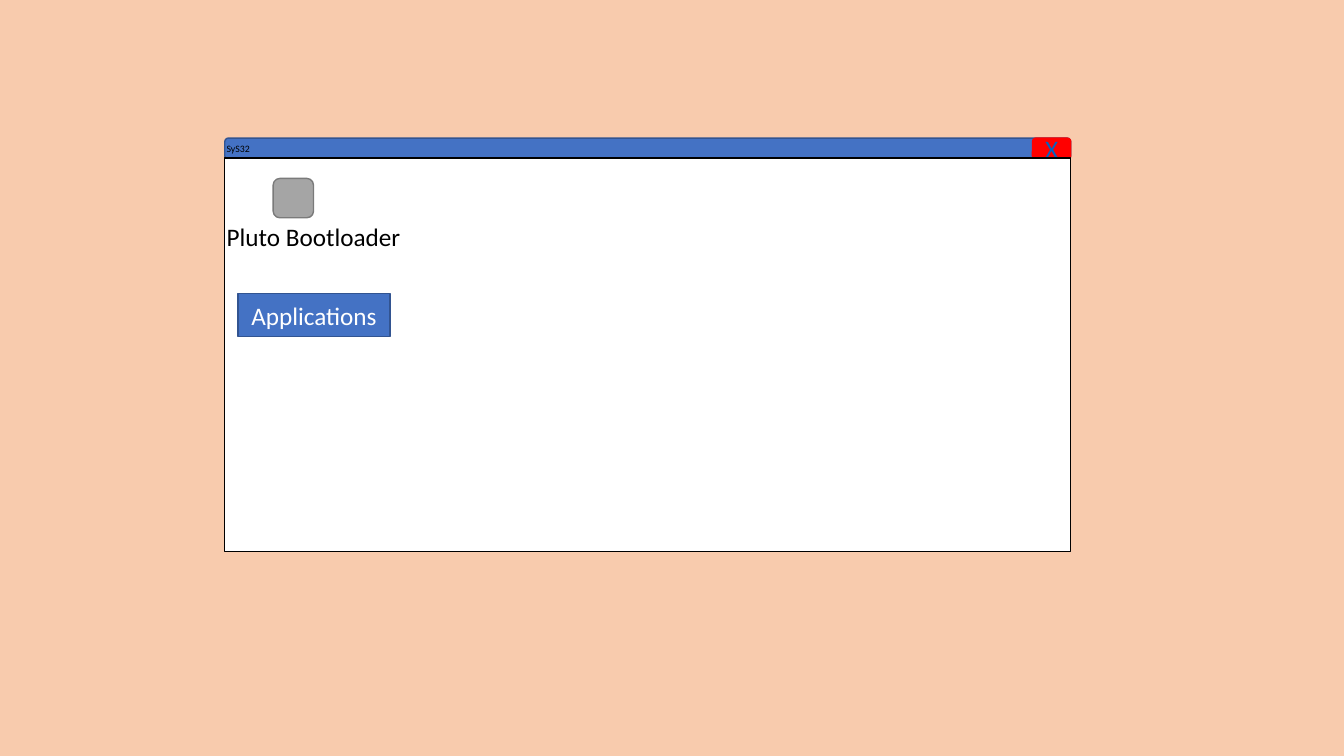
from pptx import Presentation
from pptx import util as u
from pptx.dml.color import RGBColor
from pptx.enum import shapes, text

SLIDE_WIDTH, SLIDE_HEIGHT = u.Inches(13.33), u.Inches(7.5)
PEACH = RGBColor(0xF8, 0xCB, 0xAD)
BLUE = RGBColor(0x44, 0x72, 0xC4)
DARK_BLUE = RGBColor(0x32, 0x54, 0x91)
LINK_BLUE = RGBColor(0x05, 0x63, 0xC1)
RED = RGBColor(0xFF, 0x00, 0x00)
GRAY = RGBColor(0xA5, 0xA5, 0xA5)
DARK_GRAY = RGBColor(0x7A, 0x7A, 0x7A)
BLACK = RGBColor(0x00, 0x00, 0x00)
WHITE = RGBColor(0xFF, 0xFF, 0xFF)
RECTANGLE = shapes.MSO_SHAPE.RECTANGLE
ROUNDED = shapes.MSO_SHAPE.ROUNDED_RECTANGLE

WINDOW_LEFT, WINDOW_TOP, WINDOW_WIDTH = 16.73, 18.27, 62.94
BAR_HEIGHT, CLOSE_WIDTH = 2.8, 2.85
LABEL_LEFT = 16.13


def place(left, top, width, height):
    return (
        int(SLIDE_WIDTH * left / 100),
        int(SLIDE_HEIGHT * top / 100),
        int(SLIDE_WIDTH * width / 100),
        int(SLIDE_HEIGHT * height / 100),
    )


def write(box, words, size, color, underline=None):
    para = box.text_frame.paragraphs[0]
    para.text = words
    font = para.runs[0].font
    font.name = "Calibri"
    font.size = u.Pt(size)
    font.color.rgb = color
    font.underline = underline
    return para


def add_panel(page, kind, area, fill, line):
    panel = page.shapes.add_shape(kind, *place(*area))
    panel.shadow.inherit = False
    panel.fill.solid()
    panel.fill.fore_color.rgb = fill
    panel.line.color.rgb = line
    panel.line.width = u.Pt(1)
    return panel


def add_button(page, kind, area, fill, line, words, color, underline=None):
    button = add_panel(page, kind, area, fill, line)
    button.text_frame.vertical_anchor = text.MSO_ANCHOR.MIDDLE
    para = write(button, words, 18, color, underline)
    para.alignment = text.PP_ALIGN.CENTER


def add_label(page, area, words, size):
    label = page.shapes.add_textbox(*place(*area))
    label.text_frame.word_wrap = True
    label.text_frame.auto_size = text.MSO_AUTO_SIZE.SHAPE_TO_FIT_TEXT
    write(label, words, size, BLACK)


def main():
    deck = Presentation()
    deck.slide_width, deck.slide_height = SLIDE_WIDTH, SLIDE_HEIGHT
    page = deck.slides.add_slide(deck.slide_layouts[6])

    add_panel(page, RECTANGLE, (0, 0, 100, 100), PEACH, PEACH)

    title_bar = (WINDOW_LEFT, WINDOW_TOP, WINDOW_WIDTH, BAR_HEIGHT)
    add_panel(page, ROUNDED, title_bar, BLUE, DARK_BLUE)
    close_left = WINDOW_LEFT + WINDOW_WIDTH - CLOSE_WIDTH
    close_area = (close_left, WINDOW_TOP, CLOSE_WIDTH, BAR_HEIGHT)
    add_button(page, ROUNDED, close_area, RED, RED, "X", LINK_BLUE, True)
    add_label(page, (LABEL_LEFT, WINDOW_TOP, 18.75, 2.93), "SyS32", 7)

    window_body = (WINDOW_LEFT, 20.93, WINDOW_WIDTH, 52)
    add_panel(page, RECTANGLE, window_body, WHITE, BLACK)
    applications = (17.7, 38.8, 11.33, 5.73)
    add_button(page, RECTANGLE, applications, BLUE, DARK_BLUE, "Applications", WHITE)

    add_panel(page, ROUNDED, (20.33, 23.6, 3, 5.2), GRAY, DARK_GRAY)
    add_label(page, (LABEL_LEFT, 28.67, 19.88, 5.33), "Pluto Bootloader", 18)

    deck.save("out.pptx")


main()
